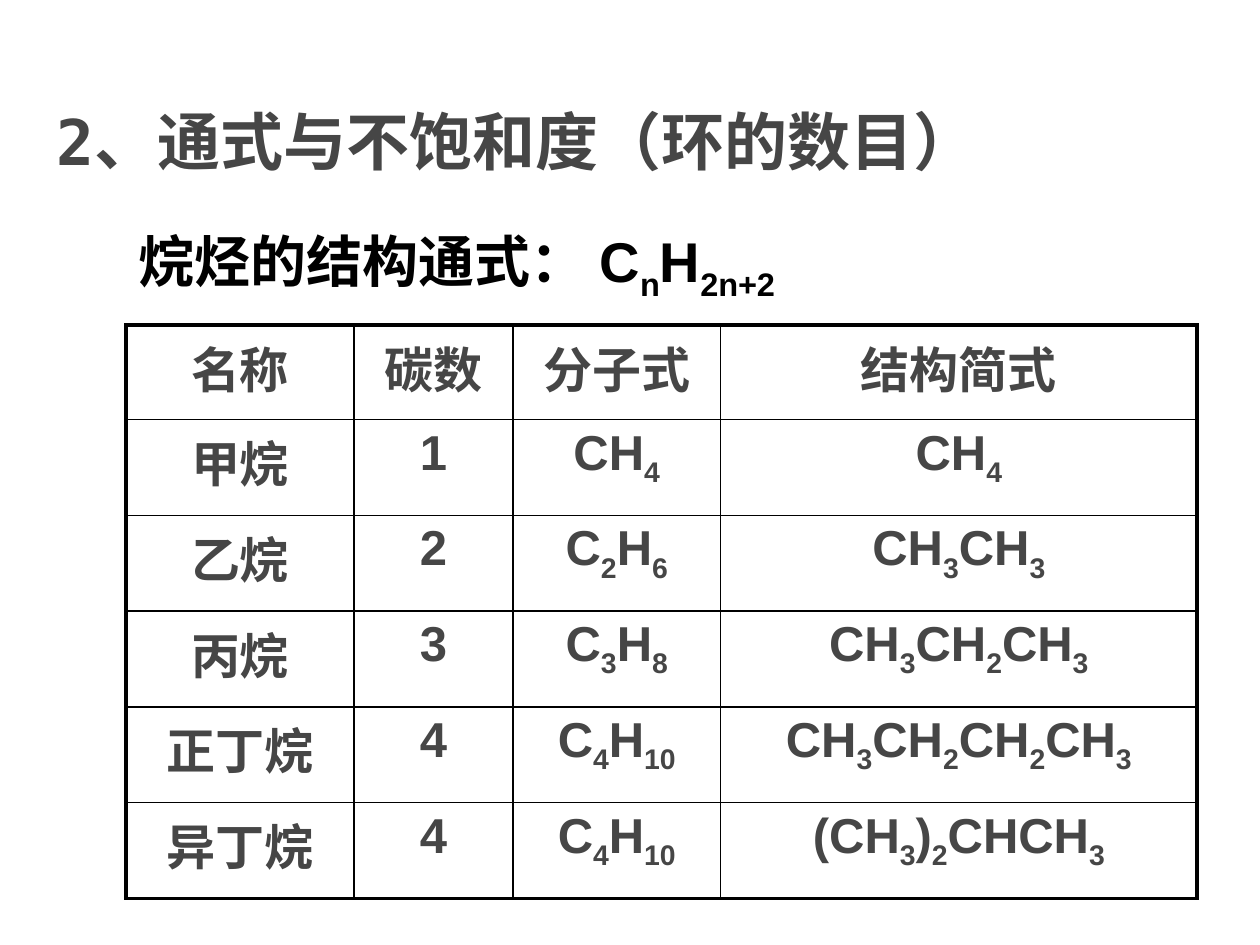
from pptx import Presentation
from pptx.dml.color import RGBColor
from pptx.enum.text import MSO_ANCHOR, PP_ALIGN
from pptx.oxml import parse_xml
from pptx.oxml.ns import nsdecls
from pptx.util import Inches, Pt


def write(p, text, size, color, font="Arial"):
    """Write bold text; every second part between bars is a subscript."""
    for i, part in enumerate(text.split("|")):
        if not part:
            continue
        r = p.add_run()
        r.text = part
        r.font.size = Pt(size)
        r.font.bold = True
        r.font.name = font
        r.font.color.rgb = RGBColor.from_string(color)
        if i % 2:
            r.font._element.set("baseline", "-25000")


def border(cell, side, width):
    cell._tc.get_or_add_tcPr().append(parse_xml(
        f'<a:{side} {nsdecls("a")} w="{Pt(width)}"><a:solidFill>'
        f'<a:srgbClr val="000000"/></a:solidFill></a:{side}>'))


prs = Presentation()
prs.slide_width, prs.slide_height = Inches(10), Inches(7.5)
s = prs.slides.add_slide(prs.slide_layouts[5])

# Title
title = s.shapes.title
title.left, title.top = Inches(0.35), Inches(0.76)
title.width, title.height = Inches(9.45), Inches(0.71)
tf = title.text_frame
tf.vertical_anchor = MSO_ANCHOR.MIDDLE
tf.paragraphs[0].alignment = PP_ALIGN.LEFT
write(tf.paragraphs[0], "2、通式与不饱和度（环的数目）", 36, "464646", "DejaVu Sans Mono")

# Table of alkanes
rows = [
    ["名称", "碳数", "分子式", "结构简式"],
    ["甲烷", "1", "CH|4|", "CH|4|"],
    ["乙烷", "2", "C|2|H|6|", "CH|3|CH|3|"],
    ["丙烷", "3", "C|3|H|8|", "CH|3|CH|2|CH|3|"],
    ["正丁烷", "4", "C|4|H|10|", "CH|3|CH|2|CH|2|CH|3|"],
    ["异丁烷", "4", "C|4|H|10|", "(CH|3|)|2|CHCH|3|"],
]
widths = [1.81, 1.26, 1.65, 3.78]
last_row, last_col = len(rows) - 1, len(widths) - 1
table = s.shapes.add_table(len(rows), len(widths), Inches(1), Inches(2.58),
                           Inches(8.5), Inches(4.57)).table
table.first_row = table.horz_banding = False
for col, width in zip(table.columns, widths):
    col.width = Inches(width)
for i, row in enumerate(rows):
    table.rows[i].height = Inches(0.76 if i else 0.75)
    for j, text in enumerate(row):
        cell = table.cell(i, j)
        p = cell.text_frame.paragraphs[0]
        p.alignment = PP_ALIGN.CENTER
        write(p, text, 28, "464646")
        # Thick outer frame, thin inner lines
        outer = {"lnL": j == 0, "lnR": j == last_col,
                 "lnT": i == 0, "lnB": i == last_row}
        for side, is_outer in outer.items():
            border(cell, side, 2.25 if is_outer else 1)
        cell.fill.background()

# General formula
box = s.shapes.add_textbox(Inches(1), Inches(1.75), Inches(7.33), Inches(0.63))
tf = box.text_frame
tf.word_wrap = True
write(tf.paragraphs[0], "烷烃的结构通式： C|n|H|2n+2|", 32, "000000")

prs.save("out.pptx")
